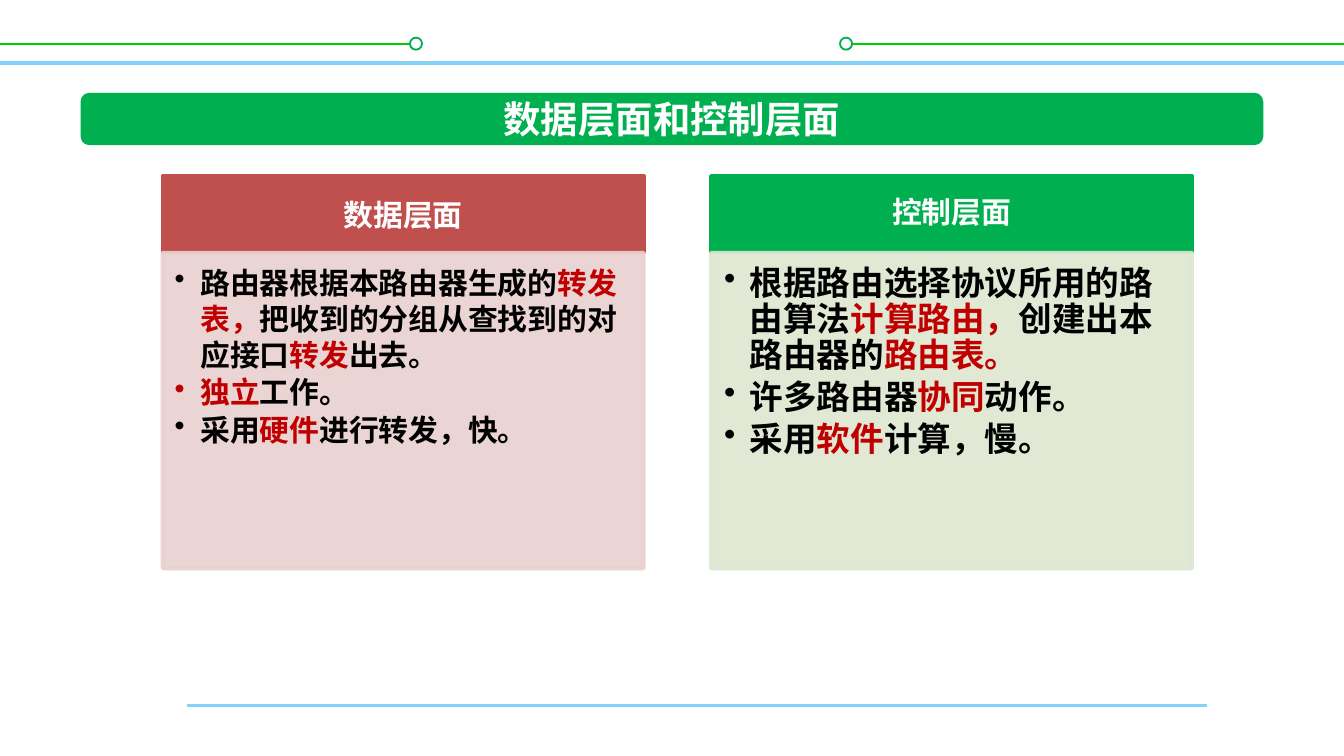
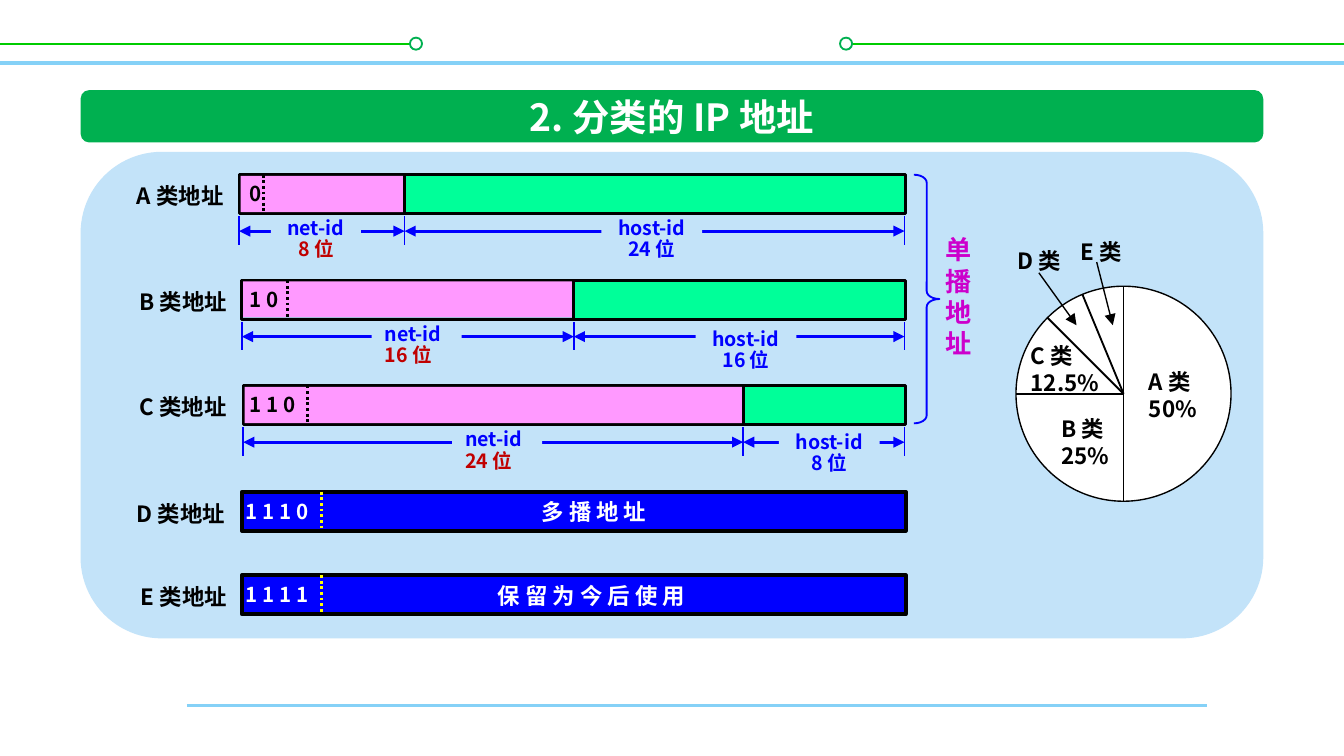
from dataclasses import dataclass
from itertools import accumulate
from math import cos, pi, sin

from lxml import etree
from pptx import Presentation
from pptx.dml.color import RGBColor
from pptx.enum.dml import MSO_LINE
from pptx.enum.shapes import MSO_CONNECTOR, MSO_SHAPE
from pptx.enum.text import MSO_ANCHOR, PP_ALIGN
from pptx.oxml.ns import qn
from pptx.util import Inches, Pt

RECT, ROUNDED = MSO_SHAPE.RECTANGLE, MSO_SHAPE.ROUNDED_RECTANGLE
OVAL, BRACE = MSO_SHAPE.OVAL, MSO_SHAPE.RIGHT_BRACE
LEFT, CENTER = PP_ALIGN.LEFT, PP_ALIGN.CENTER
TOP, MIDDLE = MSO_ANCHOR.TOP, MSO_ANCHOR.MIDDLE
DOTTED = MSO_LINE.ROUND_DOT


@dataclass(frozen=True)
class Theme:
    font: str = "Noto Sans CJK SC"
    latin: str = "Calibri"
    green: str = "00B050"
    rule_green: str = "00CC00"
    sky: str = "85D1F7"
    panel: str = "C3E3F9"
    white: str = "FFFFFF"
    black: str = "000000"
    accent: str = "C00000"
    blue: str = "0000FF"
    net: str = "FF99FF"
    host: str = "00FF99"
    yellow: str = "FFFF00"
    purple: str = "CC00CC"
    title: float = 20
    head: float = 16
    unicast: float = 14
    label: float = 12
    prefix: float = 11
    small: float = 10.5


T = Theme()
WIDTH = 10
HEIGHT = WIDTH * 9 / 16
MARGIN = 0.6

PLANES = [
    dict(head="数据层面", color="C0504D", tint="E8D0D0", size=16, first_spacing=1.0, inset=0.09,
         points=["路由器根据本路由器生成的*转发表，*把收到的分组从查找到的对应接口*转发*出去。",
                 "*独立*工作。",
                 "采用*硬件*进行转发，快。"]),
    dict(head="控制层面", color=T.green, tint="DEE7D1", size=18, first_spacing=0.9, inset=0.1,
         points=["根据路由选择协议所用的路由算法*计算路由，*创建出本路由器的*路由表。*",
                 "许多路由器*协同*动作。",
                 "采用*软件*计算，慢。"]),
]

ADDRESS_BITS = 32
SPLIT_CLASSES = [
    dict(name="A", name_x=0.92, prefix="0", prefix_end=1.96, start=1.78, net_bits=8,
         net_align=CENTER, net_mid=2.35, host_mid=4.85, host_drop=0.28),
    dict(name="B", name_x=0.94, prefix="1 0", prefix_end=2.14, start=1.8, net_bits=16,
         net_align=LEFT, net_mid=3.1, host_mid=5.55, host_drop=0.32),
    dict(name="C", name_x=0.94, prefix="1 1 0", prefix_end=2.29, start=1.81, net_bits=24,
         net_align=LEFT, net_mid=3.7, host_mid=6.17, host_drop=0.3),
]
WHOLE_CLASSES = [
    ("D", 0.92, "1 1 1 0", "多 播 地 址", 3.66, 4.42),
    ("E", 0.95, "1 1 1 1", "保 留 为 今 后 使 用", 4.28, 4.4),
]
SHARES = [0.5, 0.25, 0.125, 0.0625]
PIE_LABELS = [
    (["A 类", "50%"], 8.45, 2.69, 0.56),
    (["C 类", "12.5%"], 7.57, 2.5, 0.71),
    (["B 类", "25%"], 7.8, 3.04, 0.56),
    (["D 类"], 7.47, 1.79, 0.55),
    (["E 类"], 7.94, 1.72, 0.52),
]
PIE_POINTERS = [((7.73, 2.03), (8.01, 2.42)), ((8.16, 1.95), (8.28, 2.42))]


def rgb(color):
    return RGBColor.from_string(color)


def set_alpha(fill_parent, percent):
    for color in fill_parent.iter(qn("a:srgbClr")):
        etree.SubElement(color, qn("a:alpha"), val=str(percent * 1000))


def shape(slide, kind, x, y, w, h, fill=None, line=None, weight=1):
    item = slide.shapes.add_shape(kind, Inches(x), Inches(y), Inches(w), Inches(h))
    item.shadow.inherit = False
    if fill:
        item.fill.solid()
        item.fill.fore_color.rgb = rgb(fill)
    else:
        item.fill.background()
    if line:
        item.line.color.rgb = rgb(line)
        item.line.width = Pt(weight)
    else:
        item.line.fill.background()
    return item


def line(slide, start, end, color, weight, dash=None, ends=()):
    item = slide.shapes.add_connector(MSO_CONNECTOR.STRAIGHT, *map(Inches, (*start, *end)))
    item.line.color.rgb = rgb(color)
    item.line.width = Pt(weight)
    if dash:
        item.line.dash_style = dash
    stroke = item.line._get_or_add_ln()
    for end_name in ends:
        etree.SubElement(stroke, qn("a:" + end_name), type="triangle")
    etree.SubElement(item._element.spPr, qn("a:effectLst"))


def style(run, size, color, latin=T.font):
    run.font.size = Pt(size)
    run.font.bold = True
    run.font.name = latin
    run.font.color.rgb = rgb(color)
    latin_tag = run._r.get_or_add_rPr().find(qn("a:latin"))
    latin_tag.addnext(etree.Element(qn("a:ea"), typeface=T.font))


def write(item, lines, size, colors, align=LEFT, anchor=TOP, spacing=None,
          wrap=False, insets=(0.1, 0.05, 0.1, 0.05), latin=T.font):
    frame = item.text_frame
    frame.text = "\n".join(lines)
    frame.word_wrap = wrap
    frame.vertical_anchor = anchor
    (frame.margin_left, frame.margin_top,
     frame.margin_right, frame.margin_bottom) = map(Inches, insets)
    for paragraph, color in zip(frame.paragraphs, colors):
        paragraph.alignment = align
        paragraph.line_spacing = spacing
        for run in paragraph.runs:
            style(run, size, color, latin)


def label(slide, lines, x, y, w, h, size, color, **options):
    box = slide.shapes.add_textbox(Inches(x), Inches(y), Inches(w), Inches(h))
    write(box, lines, size, [color] * len(lines), **options)


def new_slide(deck, title, bar_top, latin=T.font):
    slide = deck.slides.add_slide(deck.slide_layouts[6])
    line(slide, (1.39, 5.25), (8.98, 5.25), T.sky, 1.5)
    line(slide, (0, 0.47), (WIDTH, 0.47), T.sky, 2)
    for start, end, ring_x in ((0, 3.1, 3.05), (6.25, WIDTH, 6.25)):
        line(slide, (start, 0.33), (end, 0.33), T.rule_green, 1)
        shape(slide, OVAL, ring_x, 0.28, 0.09, 0.09, T.white, T.green)
    bar = shape(slide, ROUNDED, MARGIN, bar_top, WIDTH - 2 * MARGIN, 0.39, T.green)
    write(bar, [title], T.title, [T.white], CENTER, MIDDLE, insets=(0, 0, 0, 0), latin=latin)
    return slide


def add_points(body, plane):
    frame = body.text_frame
    frame.word_wrap = True
    frame.vertical_anchor = TOP
    frame.margin_left = frame.margin_top = Inches(plane["inset"])
    frame.margin_right, frame.margin_bottom = Inches(0.13), Inches(0.15)
    for index, point in enumerate(plane["points"]):
        paragraph = frame.add_paragraph() if index else frame.paragraphs[0]
        paragraph.alignment = LEFT
        paragraph.line_spacing = 0.9 if index else plane["first_spacing"]
        paragraph.space_after = Pt(3)
        props = paragraph._p.get_or_add_pPr()
        props.set("marL", str(Inches(0.19)))
        props.set("indent", str(-Inches(0.19)))
        etree.SubElement(props, qn("a:buChar"), char="•")
        for part, words in enumerate(point.split("*")):
            if words:
                run = paragraph.add_run()
                run.text = words
                style(run, plane["size"], T.accent if part % 2 else T.black)


def planes_slide(deck):
    slide = new_slide(deck, "数据层面和控制层面", 0.69, T.latin)
    left, top, width, head_height, body_height, pitch = 1.21, 1.31, 3.58, 0.57, 2.35, 4.08
    for column, plane in enumerate(PLANES):
        x = left + column * pitch
        head = shape(slide, RECT, x, top, width, head_height, plane["color"], plane["color"], 2)
        write(head, [plane["head"]], T.head, [T.white], CENTER, MIDDLE, plane["first_spacing"],
              wrap=True, insets=(0.12, 0.07, 0.12, 0.07))
        body = shape(slide, RECT, x, top + head_height, width, body_height,
                     plane["tint"], plane["tint"], 2)
        set_alpha(body._element.spPr, 90)
        add_points(body, plane)


BAR_X, BAR_END, BAR_H = 1.8, 6.74, 0.29
SCALE_X, SCALE_W = 1.75, 5.04


def class_row(slide, name, name_x, prefix, prefix_x, prefix_end, y, ink, dots):
    label(slide, [f"{name} 类地址"], name_x, y + 0.01, 1.81 - name_x, 0.3, T.label, T.black)
    digits = len(prefix.split())
    label(slide, [prefix], prefix_x, y, 0.29 + 0.15 * (digits - 1), 0.28, T.prefix, ink)
    line(slide, (prefix_end, y), (prefix_end, y + BAR_H), dots, 1.5, DOTTED)


def split_row(slide, y, row):
    start, net_bits = row["start"], row["net_bits"]
    split = SCALE_X + SCALE_W * net_bits / ADDRESS_BITS
    end = BAR_END - 0.01
    spans = [
        ("net-id", net_bits, start, split, row["net_mid"], 0.67, T.accent, row["net_align"], 0.28),
        ("host-id", ADDRESS_BITS - net_bits, split, end, row["host_mid"], 0.75, T.blue, CENTER,
         row["host_drop"]),
    ]
    for field, bits, left, right, middle, width, bits_color, align, drop in spans:
        line(slide, (left, y + 0.42), (right, y + 0.42), T.blue, 1.5,
             ends=("headEnd", "tailEnd"))
        tag = shape(slide, RECT, middle - width / 2, y + drop, width, 0.43, T.panel)
        write(tag, [field, f"{bits} 位"], T.small, [T.blue, bits_color], align, spacing=0.9)
    shape(slide, RECT, start, y, BAR_END - start, BAR_H, T.host, T.black, 1.5)
    shape(slide, RECT, start + 0.01, y + 0.01, split - start - 0.01, BAR_H - 0.02, T.net)
    line(slide, (split, y), (split, y + BAR_H), T.black, 1.5)
    class_row(slide, row["name"], row["name_x"], row["prefix"], 1.76, row["prefix_end"],
              y, T.black, T.black)
    for x in (start, split, end):
        line(slide, (x, y + 0.31), (x, y + 0.52), T.blue, 1)


def share_pie(slide):
    cx, cy, radius = 8.36, 2.93, 0.8
    shape(slide, OVAL, cx - radius, cy - radius, 2 * radius, 2 * radius, T.white, T.black, 0.75)
    for share in accumulate(SHARES, initial=0):
        angle = 2 * pi * share
        edge = (cx + radius * sin(angle), cy - radius * cos(angle))
        line(slide, (cx, cy), edge, T.black, 1)
    for lines, x, y, width in PIE_LABELS:
        label(slide, lines, x, y, width, 0.1 + 0.2 * len(lines), T.label, T.black)
    for start, end in PIE_POINTERS:
        line(slide, start, end, T.black, 0.75, ends=("tailEnd",))


def addresses_slide(deck):
    slide = new_slide(deck, "2. 分类的 IP 地址", 0.67)
    shape(slide, ROUNDED, MARGIN, 1.13, WIDTH - 2 * MARGIN, 3.62, T.panel)
    first_top, pitch = 1.3, 0.785
    for index, row in enumerate(SPLIT_CLASSES):
        split_row(slide, first_top + index * pitch, row)
    for name, name_x, prefix, use, y, middle in WHOLE_CLASSES:
        shape(slide, RECT, BAR_X, y, BAR_END - BAR_X, BAR_H, T.blue, T.black, 2)
        class_row(slide, name, name_x, prefix, 1.73, 2.39, y, T.white, T.yellow)
        label(slide, [use], middle - 0.84, y, 1.68, 0.3, T.label, T.white, align=CENTER)
    share_pie(slide)
    label(slide, ["单播地址"], 6.9, 1.69, 0.46, 1.04, T.unicast, T.purple, align=CENTER, wrap=True)
    brace = shape(slide, BRACE, 6.8, first_top, 0.19, 1.85, line=T.blue)
    brace.adjustments[0] = 0.31


def main():
    deck = Presentation()
    deck.slide_width, deck.slide_height = Inches(WIDTH), Inches(HEIGHT)
    planes_slide(deck)
    addresses_slide(deck)
    deck.save("out.pptx")


if __name__ == "__main__":
    main()
